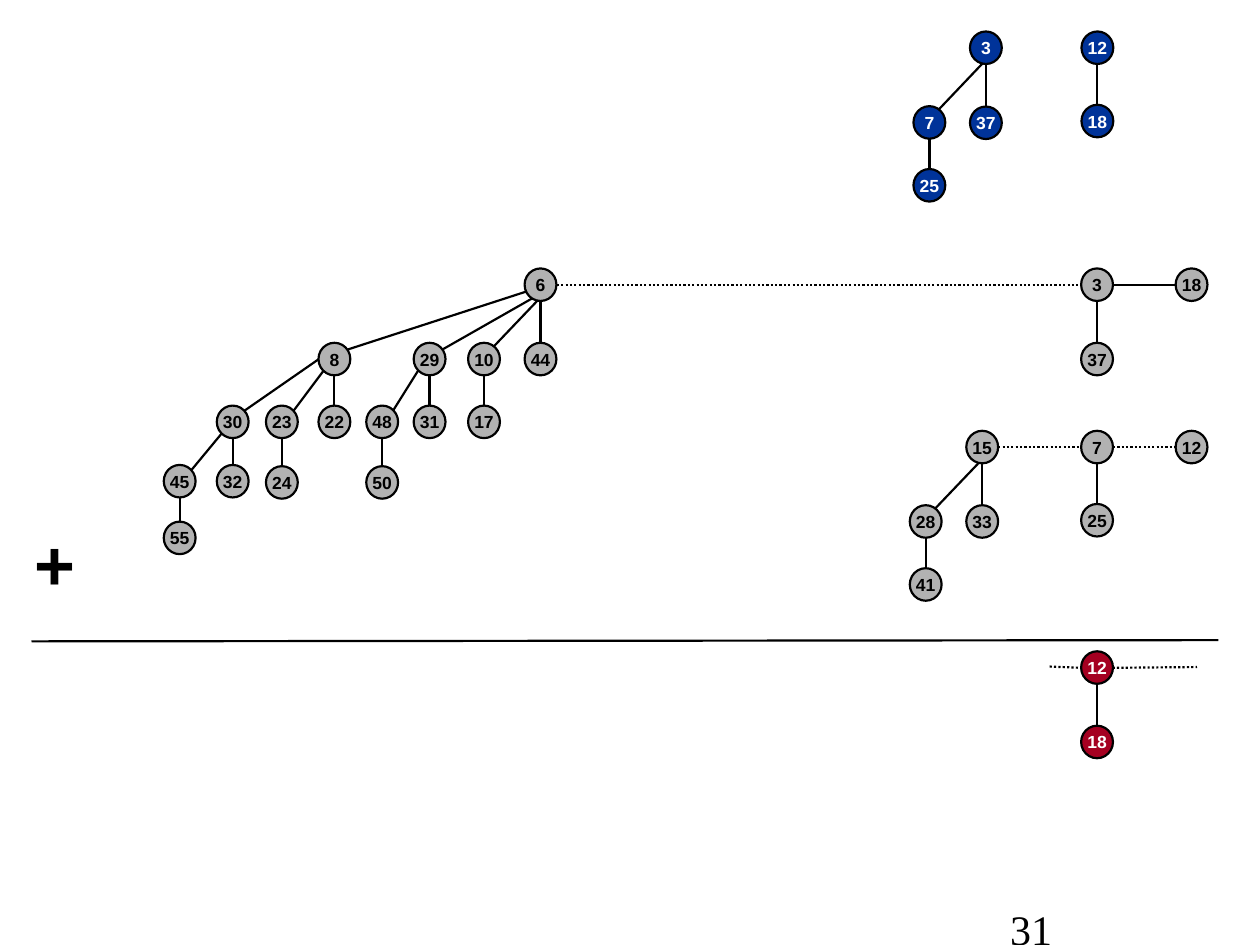
"""Build the slide that adds two binomial heaps like binary numbers."""
import dataclasses
import typing

import lxml.etree
import pptx
import pptx.dml.color
import pptx.enum.dml
import pptx.enum.shapes
import pptx.enum.text
import pptx.oxml.ns
import pptx.util

Pt = pptx.util.Pt
RGBColor = pptx.dml.color.RGBColor
Align = pptx.enum.text.PP_ALIGN
Anchor = pptx.enum.text.MSO_ANCHOR

BLACK = RGBColor(0x00, 0x00, 0x00)
WHITE = RGBColor(0xFF, 0xFF, 0xFF)
GREY = RGBColor(0xB2, 0xB2, 0xB2)
BLUE = RGBColor(0x00, 0x33, 0x99)
RED = RGBColor(0xA5, 0x00, 0x21)

KEY_WIDTH = 18.2
KEY_HEIGHT = 18.6
STROKE = 1.25


@dataclasses.dataclass(frozen=True)
class Key:
    """A heap key, with the top of the parent straight above it, if any."""
    label: str
    left: float
    top: float
    parent_top: typing.Optional[float] = None


@dataclasses.dataclass(frozen=True)
class Link:
    """A line between two points."""
    x1: float
    y1: float
    x2: float
    y2: float
    dotted: bool = False


@dataclasses.dataclass(frozen=True)
class Caption:
    """A free piece of text."""
    text: str
    left: float
    top: float
    width: float
    height: float
    font: str
    size: float
    bold: bool
    align: Align
    anchor: Anchor
    space_before: float


FIRST_HEAP = [
    Key("55", 93.6, 298.1, 265.7),
    Key("45", 93.6, 265.7),
    Key("32", 123.9, 265.7, 231.8),
    Key("30", 123.9, 231.8),
    Key("24", 152, 266.4, 231.8),
    Key("23", 152, 231.8),
    Key("22", 182, 231.8, 195.9),
    Key("50", 209.3, 266.4, 231.8),
    Key("48", 209.3, 231.8),
    Key("31", 236.4, 231.8, 195.9),
    Key("17", 267.5, 231.8, 195.9),
    Key("44", 299.8, 195.9, 153.4),
    Key("8", 182, 195.9),
    Key("29", 236.4, 195.9),
    Key("10", 267.5, 195.9),
    Key("6", 299.8, 153.4),
    Key("37", 617.8, 195.9, 153.4),
    Key("3", 617.8, 153.4),
    Key("18", 671.8, 153.4),
]
SECOND_HEAP = [
    Key("41", 519.9, 324.7, 288.7),
    Key("33", 552.2, 288.7, 246.2),
    Key("28", 519.9, 288.7),
    Key("15", 552.2, 246.2),
    Key("25", 617.8, 288, 246.2),
    Key("7", 617.8, 246.2),
    Key("12", 671.8, 246.2),
]
CARRY = [
    Key("12", 618, 18),
    Key("18", 618, 59.9, 18),
    Key("25", 522, 96.6, 60.7),
    Key("37", 554.3, 60.9, 18),
    Key("7", 522, 60.7),
    Key("3", 554.3, 18),
]
SUM = [
    Key("18", 617.8, 414.7, 372.2),
    Key("12", 617.8, 372.2),
]

BRANCHES = [
    Link(109.4, 268.6, 126.7, 247.7),
    Link(167.8, 234.7, 185, 211.7),
    Link(139.7, 234.7, 182.2, 205.2),
    Link(224.6, 234.7, 239, 211.7),
    Link(252, 200.2, 308.9, 167.8),
    Link(280.8, 199.4, 309.6, 169.2),
    Link(195.1, 200.9, 308.2, 164.2),
    Link(532.8, 292.3, 561.6, 262.1),
    Link(535, 64.1, 563.8, 33.8),
]
ROOT_LISTS = [
    Link(318.2, 162.7, 617.8, 162.7, dotted=True),
    Link(636, 162.7, 671.8, 162.7),
    Link(570.4, 255.6, 617.8, 255.6, dotted=True),
    Link(636, 255.6, 671.8, 255.6, dotted=True),
    Link(599.8, 380.9, 617.8, 381.6, dotted=True),
    Link(635.8, 381.6, 684, 381.2, dotted=True),
]
SUM_RULE = Link(696.2, 365.8, 18, 366.5)

CAPTIONS = [
    Caption("+", 12.2, 293.8, 38.9, 55.4, "Arial", 40, True,
            Align.CENTER, Anchor.TOP, 25),
    Caption("31", 570.2, 512.6, 149.8, 36, "Times New Roman", 24, False,
            Align.LEFT, Anchor.MIDDLE, 0),
]


def add_run(paragraph, text: str, font: str, size: float, bold: bool,
            color: RGBColor) -> None:
    """Append one formatted run."""
    run = paragraph.add_run()
    run.text = text
    run.font.name = font
    run.font.size = Pt(size)
    run.font.bold = bold
    run.font.color.rgb = color


def draw_link(slide, link: Link) -> None:
    """Draw a line without shadow."""
    line = slide.shapes.add_connector(
        pptx.enum.shapes.MSO_CONNECTOR.STRAIGHT,
        Pt(link.x1), Pt(link.y1), Pt(link.x2), Pt(link.y2))
    line.line.color.rgb = BLACK
    line.line.width = Pt(STROKE)
    if link.dotted:
        line.line.dash_style = pptx.enum.dml.MSO_LINE.ROUND_DOT
    lxml.etree.SubElement(line._element.spPr,
                          pptx.oxml.ns.qn("a:effectLst"))


def draw_key(slide, key: Key, fill: RGBColor, ink: RGBColor) -> None:
    """Draw a key as a labelled circle."""
    circle = slide.shapes.add_shape(
        pptx.enum.shapes.MSO_SHAPE.OVAL, Pt(key.left), Pt(key.top),
        Pt(KEY_WIDTH), Pt(KEY_HEIGHT))
    circle.shadow.inherit = False
    circle.fill.solid()
    circle.fill.fore_color.rgb = fill
    circle.line.color.rgb = BLACK
    circle.line.width = Pt(STROKE)
    frame = circle.text_frame
    frame.word_wrap = False
    frame.vertical_anchor = Anchor.MIDDLE
    frame.paragraphs[0].alignment = Align.CENTER
    add_run(frame.paragraphs[0], key.label, "Arial", 10, True, ink)


def draw_heap(slide, keys: list[Key], fill: RGBColor, ink: RGBColor) -> None:
    """Draw the vertical stems of a heap, then its keys."""
    for key in keys:
        if key.parent_top is not None:
            middle = key.left + KEY_WIDTH / 2
            draw_link(slide, Link(middle, key.top, middle,
                                  key.parent_top + KEY_HEIGHT))
    for key in keys:
        draw_key(slide, key, fill, ink)


def draw_caption(slide, caption: Caption) -> None:
    """Draw a free piece of text."""
    frame = slide.shapes.add_textbox(
        Pt(caption.left), Pt(caption.top),
        Pt(caption.width), Pt(caption.height)).text_frame
    frame.word_wrap = True
    frame.vertical_anchor = caption.anchor
    paragraph = frame.paragraphs[0]
    paragraph.alignment = caption.align
    paragraph.space_before = Pt(caption.space_before)
    add_run(paragraph, caption.text, caption.font, caption.size,
            caption.bold, BLACK)


def main() -> None:
    """Build and save the slide."""
    deck = pptx.Presentation()
    deck.slide_width, deck.slide_height = Pt(720), Pt(540)
    slide = deck.slides.add_slide(deck.slide_layouts[6])
    for link in [*BRANCHES, *ROOT_LISTS, SUM_RULE]:
        draw_link(slide, link)
    for keys, fill, ink in [(FIRST_HEAP, GREY, BLACK),
                            (SECOND_HEAP, GREY, BLACK),
                            (CARRY, BLUE, WHITE), (SUM, RED, WHITE)]:
        draw_heap(slide, keys, fill, ink)
    for caption in CAPTIONS:
        draw_caption(slide, caption)
    deck.save("out.pptx")


main()
